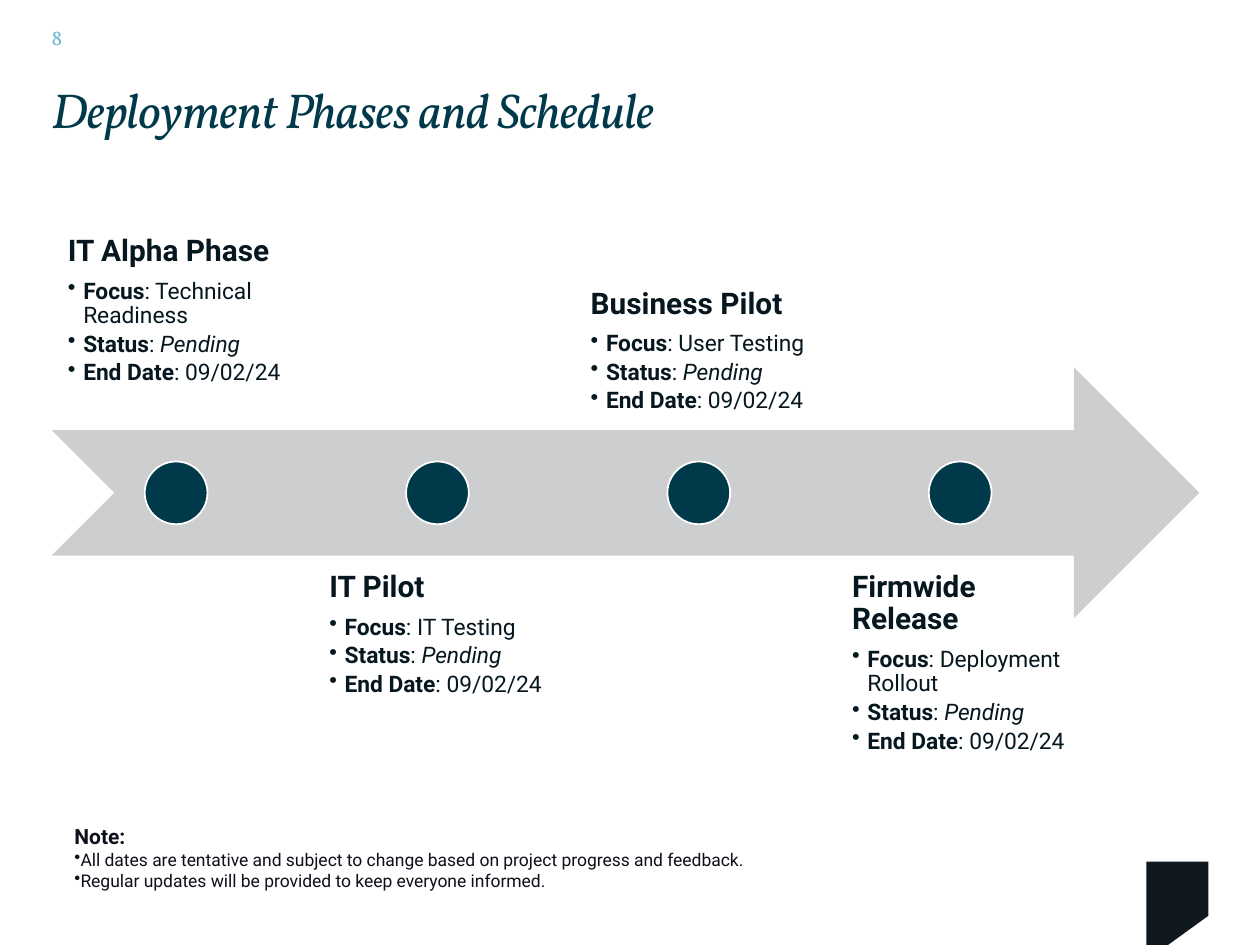
from lxml import etree
from pptx import Presentation
from pptx import util as u
from pptx.dml.color import RGBColor
from pptx.enum import shapes, text
from pptx.oxml.ns import qn

TEAL = RGBColor(0x00, 0x39, 0x4A)
AQUA = RGBColor(0x6B, 0xB9, 0xC9)
BADGE = RGBColor(0x10, 0x18, 0x20)
NOTE_INK = RGBColor(0x0E, 0x10, 0x1A)
PHASE_INK = RGBColor(0x06, 0x17, 0x1F)
GREY = RGBColor(0xCC, 0xCE, 0xD0)
WHITE = RGBColor(0xFF, 0xFF, 0xFF)
SERIF, SANS = "Vollkorn", "Roboto"

PHASES = [
    ("IT Alpha Phase", "Technical Readiness", 0.56),
    ("IT Pilot", "IT Testing", 0),
    ("Business Pilot", "User Testing", 0),
    ("Firmwide Release", "Deployment Rollout", 0),
]
NOTES = [
    "All dates are tentative and subject to change based on project progress and feedback.",
    "Regular updates will be provided to keep everyone informed.",
]


def set_font(para, name, size, color, bold=None, italic=None):
    """Format a whole paragraph."""
    font = para.font
    font.name, font.size, font.bold, font.italic = name, u.Pt(size), bold, italic
    font.color.rgb = color


def add_bullet(para, indent=0):
    """Give a paragraph a round bullet with a hanging indent in cm."""
    props = para._p.get_or_add_pPr()
    props.set("marL", str(u.Cm(indent)))
    props.set("indent", str(-u.Cm(indent)))
    etree.SubElement(props, qn("a:buChar")).set("char", "•")


def set_frame(box, inset=0, anchor=text.MSO_ANCHOR.TOP, wrap=True):
    """Set the insets, anchor and wrapping of a text frame and return it."""
    frame = box.text_frame
    frame.margin_left = frame.margin_right = u.Cm(inset)
    frame.margin_top = frame.margin_bottom = u.Cm(inset)
    frame.vertical_anchor, frame.word_wrap = anchor, wrap
    return frame


def add_text_box(page, left, top, width, height, **frame_options):
    """Add a text box placed in cm and return its frame."""
    box = page.shapes.add_textbox(u.Cm(left), u.Cm(top), u.Cm(width), u.Cm(height))
    return set_frame(box, **frame_options)


def add_filled(page, kind, left, top, width, height, color):
    """Add a flat preset shape placed in cm."""
    shape = page.shapes.add_shape(kind, u.Cm(left), u.Cm(top), u.Cm(width), u.Cm(height))
    shape.shadow.inherit = False
    shape.fill.solid()
    shape.fill.fore_color.rgb = color
    shape.line.fill.background()
    return shape


def add_header(page, left, top, width, height):
    """Place the page number and the title."""
    frame = add_text_box(page, left - 0.18, top - 1.55, 1.52, 1.02,
                         inset=0.18, anchor=text.MSO_ANCHOR.MIDDLE)
    para = frame.paragraphs[0]
    para.text = "8"
    set_font(para, SERIF, 12, AQUA)

    title = page.shapes.title
    title.left, title.top, title.width, title.height = map(u.Cm, (left, top, width, height))
    frame = set_frame(title, wrap=False)
    frame.auto_size = text.MSO_AUTO_SIZE.SHAPE_TO_FIT_TEXT
    para = frame.paragraphs[0]
    para.alignment, para.line_spacing = text.PP_ALIGN.LEFT, 0.86
    span = para.add_run()
    span.text = "Deployment Phases and Schedule"
    span._r.get_or_add_rPr().set("spc", "-30")
    set_font(para, SERIF, 28, TEAL, italic=True)


def add_phase(page, left, top, width, height, phase, anchor):
    """Place one phase heading with its three details."""
    name, focus, lift = phase
    frame = add_text_box(page, left, top, width, height, inset=0.33, anchor=anchor)
    frame.margin_bottom += u.Cm(lift)
    heading = frame.paragraphs[0]
    heading.text = name
    heading.line_spacing, heading.space_after = 0.9, u.Pt(6.5)
    set_font(heading, SANS, 17, PHASE_INK, bold=True)
    details = [("Focus", focus), ("Status", "Pending"), ("End Date", "09/02/24")]
    for label, value in details:
        para = frame.add_paragraph()
        para.level = 1
        add_bullet(para, 0.31)
        para.line_spacing, para.space_after = 0.9, u.Pt(2.3)
        set_font(para, SANS, 13, PHASE_INK)
        for words in (label, ": ", value):
            span = para.add_run()
            span.text = words
            span.font.bold = words == label
            span.font.italic = words == "Pending"


def add_timeline(page, left, top, width, height):
    """Place the arrow with phases alternating above and below it."""
    band = height * 0.4
    middle = top + height / 2
    add_filled(page, shapes.MSO_SHAPE.NOTCHED_RIGHT_ARROW,
               left, middle - band / 2, width, band, GREY)
    pitch = width * 0.2277
    column = pitch / 1.05
    dot = band / 4
    for index, phase in enumerate(PHASES):
        below = index % 2 == 1
        x = left + index * pitch
        y = top + height - band if below else top
        anchor = text.MSO_ANCHOR.TOP if below else text.MSO_ANCHOR.BOTTOM
        add_phase(page, x, y, column, band, phase, anchor)
        marker = add_filled(page, shapes.MSO_SHAPE.OVAL, x + (column - dot) / 2,
                            middle - dot / 2, dot, dot, TEAL)
        marker.line.color.rgb = WHITE
        marker.line.width = u.Pt(1)


def add_notes(page, left, top, width, height):
    """Place the note heading and its bullets."""
    frame = add_text_box(page, left, top, width, height)
    heading = frame.paragraphs[0]
    heading.text = "Note:"
    set_font(heading, SANS, 12, NOTE_INK, bold=True)
    for note in NOTES:
        para = frame.add_paragraph()
        para.text = note
        add_bullet(para)
        set_font(para, SANS, 10, NOTE_INK)


def add_badge(page, left, top, width, height):
    """Place the plain corner badge with its cut lower right corner."""
    right, bottom = left + width, top + height
    corners = [(right, top), (right, top + height * 0.65),
               (left + width * 0.35, bottom), (left, bottom)]
    builder = page.shapes.build_freeform(u.Cm(left), u.Cm(top))
    builder.add_line_segments([(u.Cm(x), u.Cm(y)) for x, y in corners])
    badge = builder.convert_to_shape()
    badge.shadow.inherit = False
    badge.fill.solid()
    badge.fill.fore_color.rgb = BADGE
    badge.line.fill.background()


def main():
    """Build and save the deck."""
    deck = Presentation()
    deck.slide_width, deck.slide_height = u.Cm(25.4), u.Cm(19.05)
    page = deck.slides.add_slide(deck.slide_layouts[5])
    add_badge(page, 23.11, 17.37, 1.25, 1.68)
    add_header(page, 1.04, 1.78, 14.2, 1.04)
    add_notes(page, 1.5, 16.61, 20.55, 1.37)
    add_timeline(page, 1.04, 3.61, 23.14, 12.65)
    deck.save("out.pptx")


if __name__ == "__main__":
    main()
